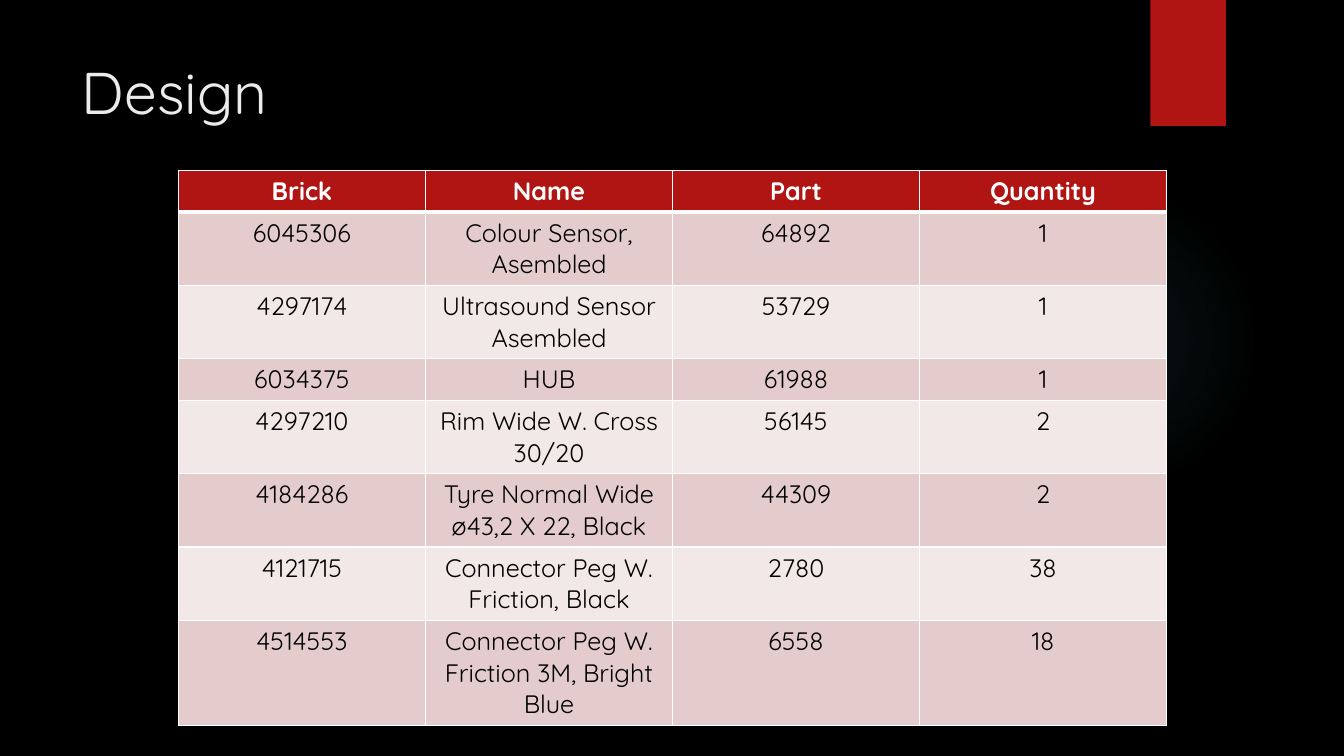
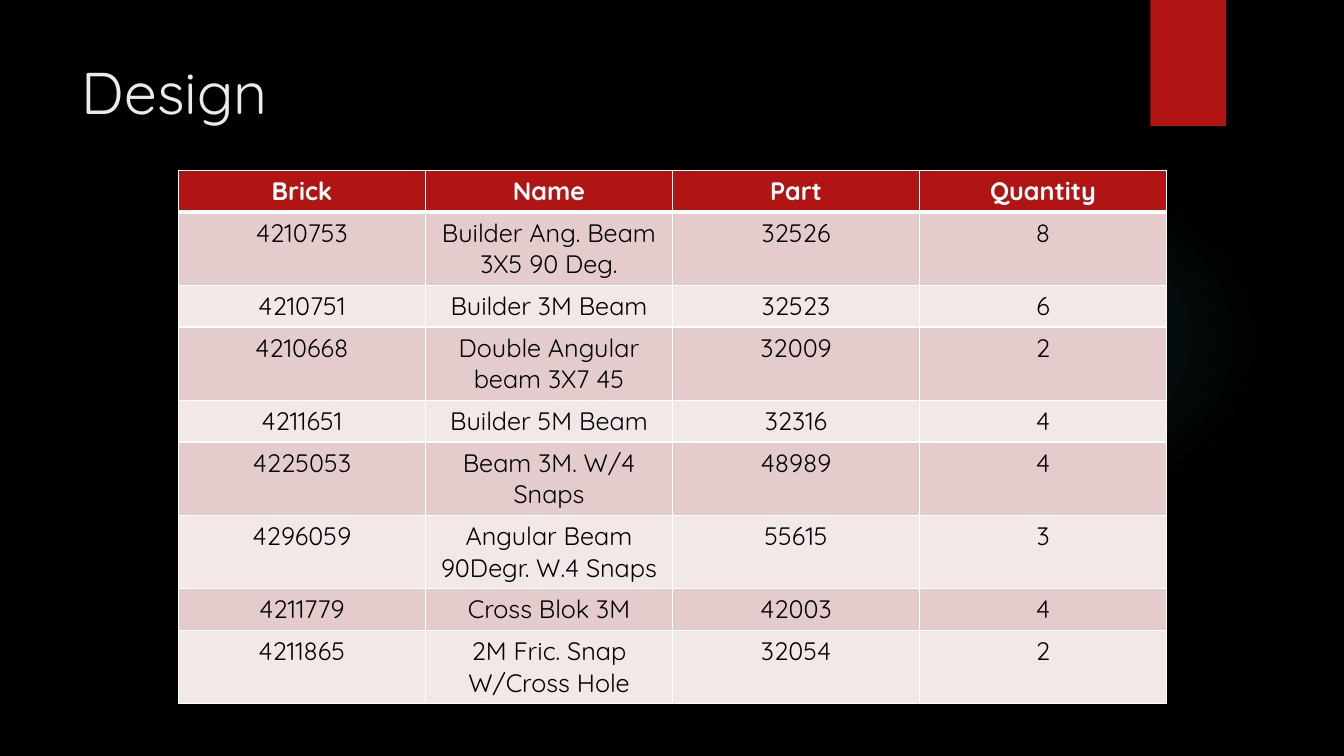
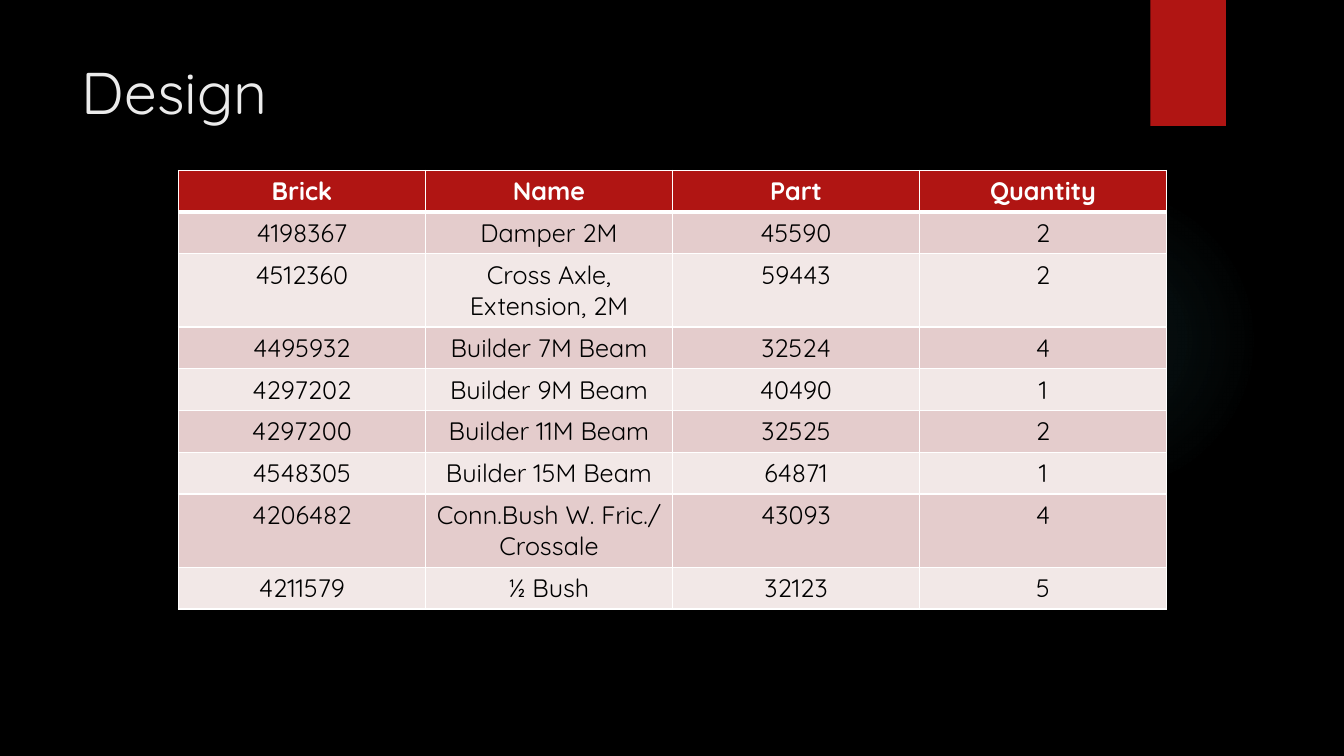
from lxml import etree
from pptx import Presentation
from pptx.dml.color import RGBColor
from pptx.enum import shapes, text
from pptx.oxml import ns
from pptx.util import Inches, Pt

FONT = "Quicksand"
INK = {
    "back": "000000",
    "title": "EBEBEB",
    "red": "B01513",
    "glow": "50B9C1",
    "white": "FFFFFF",
    "dark": "E4CCCC",
    "pale": "F2E8E7",
    "black": "000000",
}
GLOW = [(0, 7), (36, 6), (69, 0)]
HEAD = ("Brick", "Name", "Part", "Quantity")
COL, ROW = 2.45, 0.41

PARTS = [
    [
        ("6045306", "Colour Sensor, Asembled", "64892", "1"),
        ("4297174", "Ultrasound Sensor Asembled", "53729", "1"),
        ("6034375", "HUB", "61988", "1"),
        ("4297210", "Rim Wide W. Cross 30/20", "56145", "2"),
        ("4184286", "Tyre Normal Wide ø43,2 X 22, Black", "44309", "2"),
        ("4121715", "Connector Peg W. Friction, Black", "2780", "38"),
        ("4514553", "Connector Peg W. Friction 3M, Bright Blue", "6558", "18"),
    ],
    [
        ("4210753", "Builder Ang. Beam 3X5 90 Deg.", "32526", "8"),
        ("4210751", "Builder 3M Beam", "32523", "6"),
        ("4210668", "Double Angular beam 3X7 45", "32009", "2"),
        ("4211651", "Builder 5M Beam", "32316", "4"),
        ("4225053", "Beam 3M. W/4 Snaps", "48989", "4"),
        ("4296059", "Angular Beam 90Degr. W.4 Snaps", "55615", "3"),
        ("4211779", "Cross Blok 3M", "42003", "4"),
        ("4211865", "2M Fric. Snap W/Cross Hole", "32054", "2"),
    ],
    [
        ("4198367", "Damper 2M", "45590", "2"),
        ("4512360", "Cross Axle, Extension, 2M", "59443", "2"),
        ("4495932", "Builder 7M Beam", "32524", "4"),
        ("4297202", "Builder 9M Beam", "40490", "1"),
        ("4297200", "Builder 11M Beam", "32525", "2"),
        ("4548305", "Builder 15M Beam", "64871", "1"),
        ("4206482", "Conn.Bush W. Fric./ Crossale", "43093", "4"),
        ("4211579", "½ Bush", "32123", "5"),
    ],
]


def apply(item, form):
    for key, value in form.items():
        setattr(item, key, value)


def paint(fill, ink):
    fill.solid()
    fill.fore_color.rgb = RGBColor.from_string(INK[ink])


def child(node, tag, **attrs):
    return etree.SubElement(node, ns.qn(tag), attrs)


def write(frame, words, ink, size, bold, align):
    line = frame.paragraphs[0]
    line.alignment = align
    run = line.add_run()
    run.text = words
    apply(run.font, {"name": FONT, "size": Pt(size), "bold": bold})
    run.font.color.rgb = RGBColor.from_string(INK[ink])


def add_block(slide, kind, *box):
    block = slide.shapes.add_shape(kind, *map(Inches, box))
    block.shadow.inherit = False
    block.line.fill.background()
    return block


def add_glow(slide):
    glow = add_block(slide, shapes.MSO_SHAPE.OVAL, 9.41, 1.83, 3.08, 3.08)
    glow.fill.gradient()
    grad = glow.fill._fill._gradFill
    for node in list(grad):
        grad.remove(node)
    stops = child(grad, "a:gsLst")
    for place, alpha in GLOW:
        stop = child(stops, "a:gs", pos=str(place * 1000))
        tint = child(stop, "a:srgbClr", val=INK["glow"])
        child(tint, "a:alpha", val=str(alpha * 1000))
    ring = child(grad, "a:path", path="circle")
    child(ring, "a:fillToRect", **dict.fromkeys("ltrb", "50000"))


def add_title(slide, words):
    title = slide.shapes.title
    apply(title, {
        "left": Inches(0.71), "top": Inches(0.5),
        "width": Inches(10.29), "height": Inches(1.53),
    })
    apply(title.text_frame, {
        "word_wrap": True,
        "auto_size": text.MSO_AUTO_SIZE.NONE,
        "vertical_anchor": text.MSO_ANCHOR.TOP,
    })
    write(title.text_frame, words, "title", 42, False, text.PP_ALIGN.LEFT)


def edge(cell, row):
    wide = {"T": 3 if row == 1 else 1, "B": 3 if row == 0 else 1}
    props = cell._tc.get_or_add_tcPr()
    for side in "LRTB":
        line = child(props, f"a:ln{side}", w=str(Pt(wide.get(side, 1))))
        child(child(line, "a:solidFill"), "a:srgbClr", val=INK["white"])


def add_grid(slide, parts):
    rows = [HEAD, *parts]
    box = (1.77, 1.69, COL * len(HEAD), ROW * len(rows))
    grid = slide.shapes.add_table(len(rows), len(HEAD), *map(Inches, box)).table
    grid.horz_banding = False
    for r, row in enumerate(rows):
        head = r == 0
        fill = "red" if head else "dark" if r % 2 else "pale"
        ink = "white" if head else "black"
        for c, words in enumerate(row):
            cell = grid.cell(r, c)
            edge(cell, r)
            paint(cell.fill, fill)
            write(cell.text_frame, words, ink, 18, head, text.PP_ALIGN.CENTER)


def add_page(deck, parts):
    slide = deck.slides.add_slide(deck.slide_layouts[5])
    add_glow(slide)
    tab = add_block(slide, shapes.MSO_SHAPE.RECTANGLE, 11.41, 0, 0.75, 1.25)
    paint(tab.fill, "red")
    add_title(slide, "Design")
    add_grid(slide, parts)


def main():
    deck = Presentation()
    apply(deck, {"slide_width": Inches(13.33), "slide_height": Inches(7.5)})
    paint(deck.slide_master.background.fill, "back")
    for parts in PARTS:
        add_page(deck, parts)
    deck.save("out.pptx")


if __name__ == "__main__":
    main()
